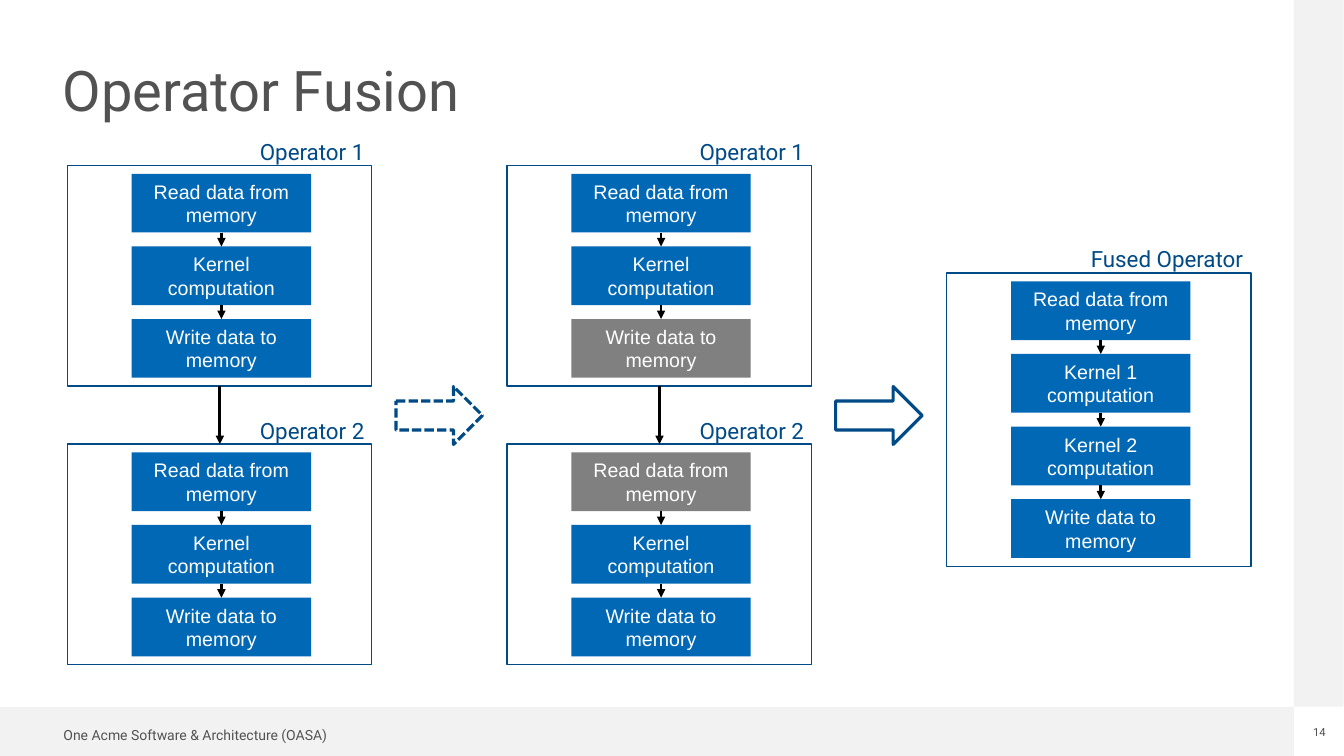
from lxml.etree import SubElement
from pptx import Presentation
from pptx.dml.color import RGBColor
from pptx.enum.dml import MSO_LINE
from pptx.enum.shapes import MSO_CONNECTOR, MSO_SHAPE
from pptx.enum.text import MSO_ANCHOR, PP_ALIGN
from pptx.oxml.ns import qn
from pptx.util import Cm, Pt

NAVY, BLUE, GREY = "004A86", "0068B5", "808080"
PALE, DARK = "F2F2F2", "525252"

deck = Presentation()
deck.slide_width, deck.slide_height = Cm(33.87), Cm(19.05)
slide = deck.slides.add_slide(deck.slide_layouts[5])
shapes = slide.shapes


def write(text, frame, size=14, font="Roboto", hue=DARK, align=PP_ALIGN.LEFT,
          anchor=MSO_ANCHOR.TOP, inset=0, wrap=True, gap=1.0):
    frame.word_wrap = wrap
    frame.vertical_anchor = anchor
    frame.margin_left = frame.margin_right = Cm(inset)
    frame.margin_top = frame.margin_bottom = Cm(inset)
    line = frame.paragraphs[0]
    line.alignment, line.line_spacing = align, gap
    run = line.add_run()
    run.text = text
    run.font.size, run.font.name = Pt(size), font
    run.font.color.rgb = RGBColor.from_string(hue)


def draw(kind, spot, fill=None, edge=None, width=1):
    shape = shapes.add_shape(kind, *map(Cm, spot))
    shape.shadow.inherit = False
    if fill:
        shape.fill.solid()
        shape.fill.fore_color.rgb = RGBColor.from_string(fill)
    else:
        shape.fill.background()
    if edge:
        shape.line.color.rgb = RGBColor.from_string(edge)
        shape.line.width = Pt(width)
    else:
        shape.line.fill.background()
    return shape


for spot in [(0, 17.81, 32.61, 1.24), (32.61, 0, 1.25, 17.81)]:
    draw(MSO_SHAPE.RECTANGLE, spot, fill=PALE)

foot = shapes.add_textbox(Cm(1.6), Cm(18.36), Cm(7), Cm(0.4))
write("One Acme Software & Architecture (OASA)", foot.text_frame, size=10,
      wrap=False, gap=0.9)
page = shapes.add_textbox(Cm(33.07), Cm(18.29), Cm(0.36), Cm(0.33))
write("14", page.text_frame, size=8, align=PP_ALIGN.CENTER, wrap=False)

title = shapes.title
title.left, title.top = Cm(1.58), Cm(1.58)
title.width, title.height = Cm(30.58), Cm(2.64)
write("Operator Fusion", title.text_frame, size=40, gap=0.9)

LEFT, PITCH, WIDE = 1.7, 11.08, 7.67
HIGH, LOW, MID = 4.17, 11.19, 6.88
STEP, TALL = 1.83, 1.48
READ, STORE = "Read data from memory", "Write data to memory"
plain = [READ, "Kernel computation", STORE]
fused = [READ, "Kernel 1 computation", "Kernel 2 computation", STORE]
panels = [
    (0, HIGH, "Operator 1", 2.82, plain, None),
    (0, LOW, "Operator 2", 2.82, plain, None),
    (1, HIGH, "Operator 1", 2.82, plain, STORE),
    (1, LOW, "Operator 2", 2.82, plain, READ),
    (2, MID, "Fused Operator", 4.04, fused, None),
]

links = []
for col, top, name, span, steps, faded in panels:
    left = LEFT + col * PITCH
    draw(MSO_SHAPE.RECTANGLE, (left, top, WIDE, STEP * len(steps) + 0.07),
         edge=NAVY)
    label = shapes.add_textbox(Cm(left + WIDE - span), Cm(top - 0.69),
                               Cm(span), Cm(0.69))
    write(name, label.text_frame, size=16, hue=NAVY, wrap=False)
    for row, step in enumerate(steps):
        y = top + 0.21 + row * STEP
        box = draw(MSO_SHAPE.RECTANGLE, (left + 1.62, y, 4.52, TALL),
                   fill=GREY if step == faded else BLUE)
        write(step, box.text_frame, font="Arial", hue="FFFFFF", inset=0.15,
              align=PP_ALIGN.CENTER, anchor=MSO_ANCHOR.MIDDLE)
        if row:
            links.append((left + 3.88, y - STEP + TALL, y))

for col in range(2):
    left = LEFT + col * PITCH
    links.append((left + 3.84, HIGH + 3 * STEP + 0.07, LOW))
    arrow = draw(MSO_SHAPE.RIGHT_ARROW, (left + 8.28, 9.74, 2.18, 1.46),
                 edge=NAVY, width=2.25)
    if col == 0:
        arrow.line.dash_style = MSO_LINE.SQUARE_DOT

for x, start, end in links:
    link = shapes.add_connector(MSO_CONNECTOR.STRAIGHT, Cm(x), Cm(start),
                                Cm(x), Cm(end))
    link.line.color.rgb = RGBColor.from_string("000000")
    link.line.width = Pt(2)
    SubElement(link.line._get_or_add_ln(), qn("a:tailEnd"), type="triangle")
    SubElement(link._element.spPr, qn("a:effectLst"))

deck.save("out.pptx")
